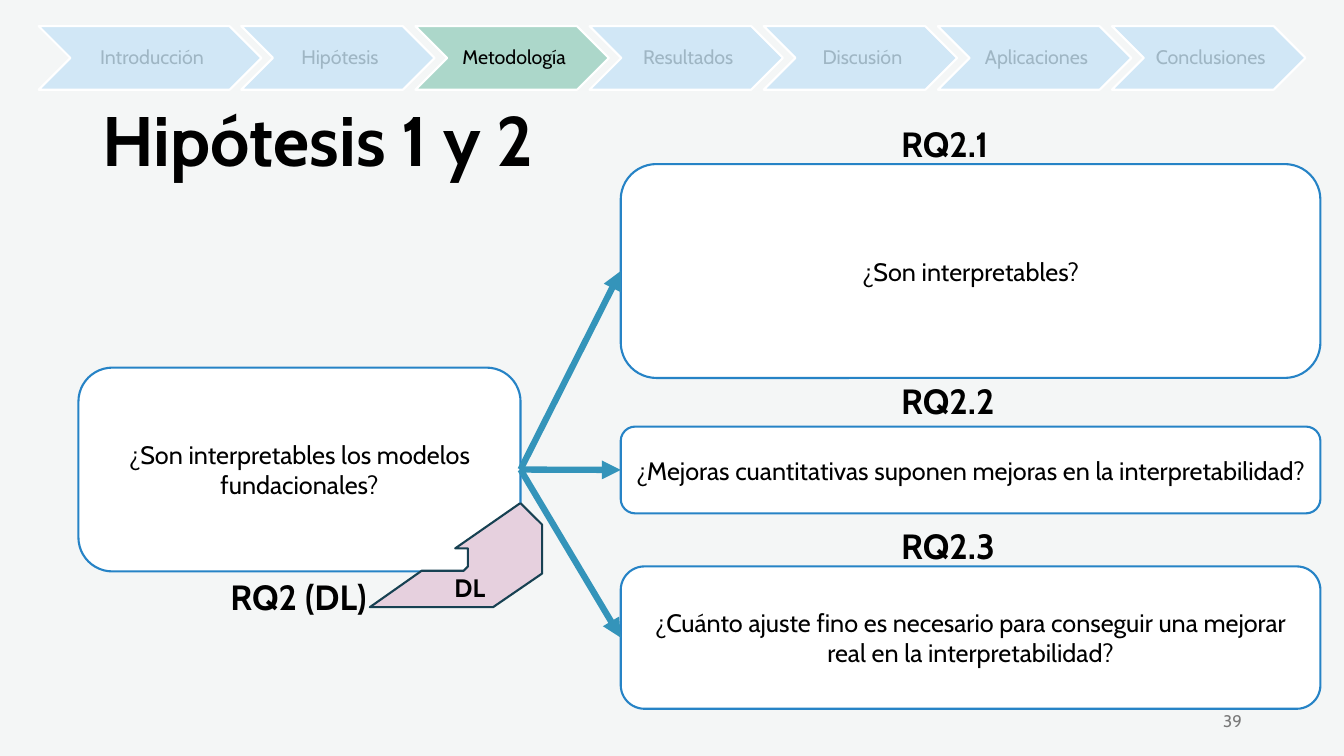
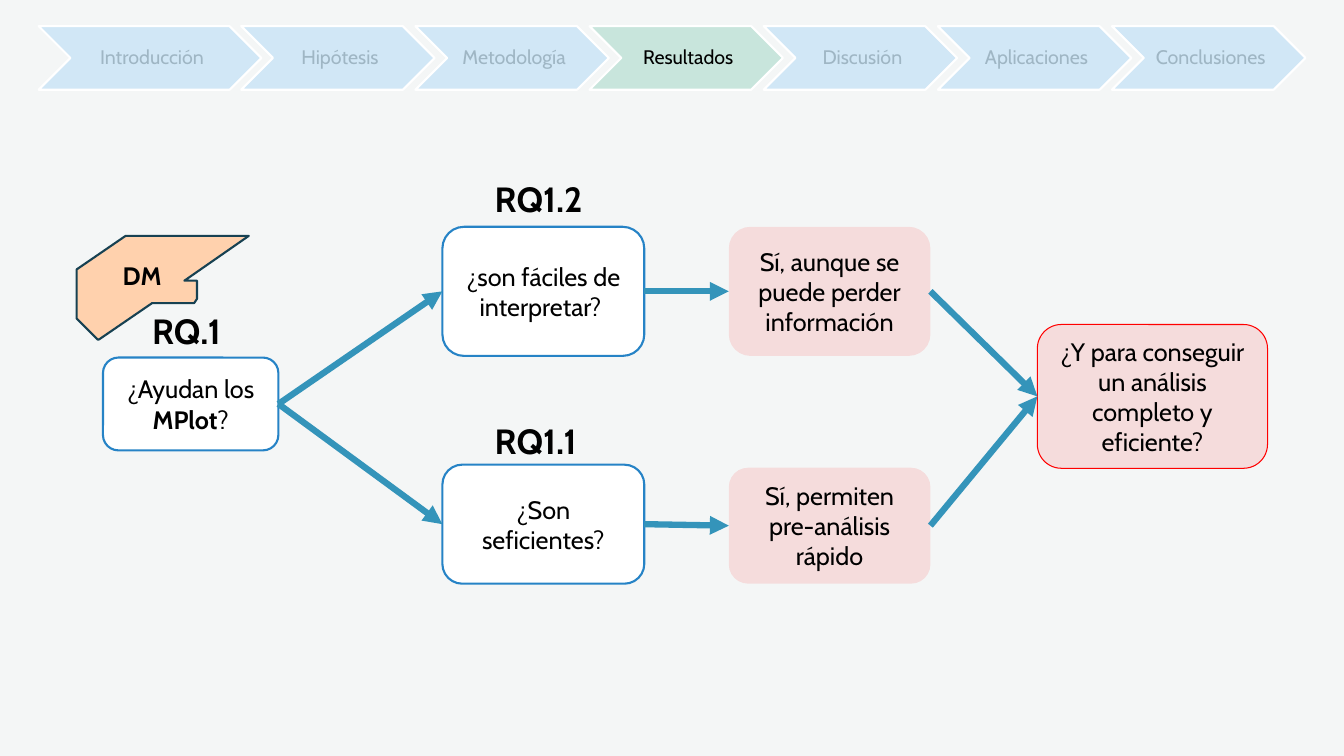
from dataclasses import dataclass
from typing import Optional

from lxml.etree import SubElement
from pptx import Presentation
from pptx.dml.color import RGBColor
from pptx.enum.shapes import MSO_CONNECTOR as Link, MSO_SHAPE as Kind
from pptx.enum.text import MSO_ANCHOR as Anchor, MSO_AUTO_SIZE as Auto, PP_ALIGN as Align
from pptx.oxml.ns import qn
from pptx.util import Pt

# Shared look
FONT = "Cabin"
BLACK = RGBColor(0x00, 0x00, 0x00)
WHITE = RGBColor(0xFF, 0xFF, 0xFF)
PAPER = RGBColor(0xF4, 0xF6, 0xF6)
GRAY = RGBColor(0x79, 0x79, 0x79)
MUTED = RGBColor(0x9F, 0xB6, 0xC4)
SKY = RGBColor(0xD1, 0xE7, 0xF6)
MINT = RGBColor(0xAC, 0xD7, 0xCA)
PALE_MINT = RGBColor(0xC8, 0xE5, 0xDC)
BLUE = RGBColor(0x26, 0x83, 0xC6)
TEAL = RGBColor(0x34, 0x94, 0xBA)
NAVY = RGBColor(0x17, 0x41, 0x52)
RED = RGBColor(0xFF, 0x00, 0x00)
PINK = RGBColor(0xE6, 0xD0, 0xDE)
PEACH = RGBColor(0xFF, 0xD1, 0xAD)

STEPS = ("Introducción", "Hipótesis", "Metodología", "Resultados",
         "Discusión", "Aplicaciones", "Conclusiones")
# Outlines of the puzzle pieces, from their top left corners
DL_EDGE = ((107, 0), (108, 0), (123, 15), (123, 50), (88, 74), (0, 74),
           (37, 48), (67, 48), (70, 45), (70, 32), (61, 32))
DM_EDGE = ((35, 0), (123, 0), (77, 32), (86, 32), (86, 45), (84, 48),
           (54, 48), (16, 74), (15, 74), (0, 59), (0, 24))
LEFT, RIGHT = 1, 3  # connection sites of a box


@dataclass(frozen=True)
class Style:
    fill: RGBColor
    line: Optional[RGBColor]
    width: float = 1.5
    alpha: int = 100


@dataclass(frozen=True)
class Box:
    x: float
    y: float
    w: float
    h: float
    text: str
    style: Style
    tag: str = ""
    tag_x: float = 0
    tag_y: float = 0


ASK = Style(WHITE, BLUE)
REPLY = Style(RED, None, alpha=10)
NEXT = Style(RED, RED, 0.75, 10)


def put(frame, text: str, size: float = 18, color=BLACK, bold: bool = False,
        align=Align.LEFT, anchor=Anchor.TOP, space: float = 1, pads=None) -> None:
    """Write one paragraph; parts between ** are bold."""
    frame.word_wrap = True
    frame.auto_size = Auto.NONE
    frame.vertical_anchor = anchor
    if pads:
        (frame.margin_left, frame.margin_top,
         frame.margin_right, frame.margin_bottom) = map(Pt, pads)
    para = frame.paragraphs[0]
    para.alignment = align
    para.line_spacing = space
    for i, part in enumerate(text.split("**")):
        run = para.add_run()
        run.text = part
        font = run.font
        font.name, font.size, font.bold = FONT, Pt(size), bold or i % 2 == 1
        font.color.rgb = color


def label(slide, x: float, y: float, w: float, h: float, text: str, **form) -> None:
    area = slide.shapes.add_textbox(Pt(x), Pt(y), Pt(w), Pt(h))
    put(area.text_frame, text, **form)


def paint(shape, style: Style) -> None:
    shape.shadow.inherit = False
    shape.fill.solid()
    shape.fill.fore_color.rgb = style.fill
    if style.alpha < 100:
        tint = shape.fill._xPr.find(qn("a:solidFill")).find(qn("a:srgbClr"))
        SubElement(tint, qn("a:alpha")).set("val", str(style.alpha * 1000))
    if style.line is None:
        shape.line.fill.background()
    else:
        shape.line.color.rgb = style.line
        shape.line.width = Pt(style.width)


def band(slide, now: str, color: RGBColor) -> None:
    """Draw the row of steps with the present one lit."""
    first, start, pitch, width = 27.6, 172.3, 124.4, 138.2
    top, high = 18.7, 45.4
    for i, name in enumerate(STEPS):
        x, w = (start + (i - 1) * pitch, width) if i else (first, 159.1)
        lit = name == now
        step = slide.shapes.add_shape(Kind.CHEVRON, Pt(x), Pt(top), Pt(w), Pt(high))
        paint(step, Style(color if lit else SKY, WHITE))
        label(slide, x + 22.7, top, w - 45.4, high, name, size=14,
              color=BLACK if lit else MUTED, align=Align.CENTER,
              anchor=Anchor.MIDDLE, space=0.9, pads=(4.3, 1.4, 1.4, 1.4))


def draw(slide, box: Box):
    shape = slide.shapes.add_shape(Kind.FLOWCHART_ALTERNATE_PROCESS,
                                   Pt(box.x), Pt(box.y), Pt(box.w), Pt(box.h))
    paint(shape, box.style)
    put(shape.text_frame, box.text, align=Align.CENTER, anchor=Anchor.MIDDLE)
    if box.tag:
        label(slide, box.tag_x, box.tag_y, 120, 37.4, box.tag, size=25, bold=True)
    return shape


def arrow(slide, start, end) -> None:
    line = slide.shapes.add_connector(Link.STRAIGHT, 0, 0, 0, 0)
    line.begin_connect(start, RIGHT)
    line.end_connect(end, LEFT)
    line.line.color.rgb = TEAL
    line.line.width = Pt(4.5)
    SubElement(line.line._get_or_add_ln(), qn("a:tailEnd")).set("type", "triangle")
    SubElement(line._element.spPr, qn("a:effectLst"))


def piece(slide, x: float, y: float, edge: tuple, color: RGBColor) -> None:
    spots = [(Pt(x + dx), Pt(y + dy)) for dx, dy in edge]
    path = slide.shapes.build_freeform(*spots[0], scale=1.0)
    path.add_line_segments(spots[1:], close=True)
    paint(path.convert_to_shape(), Style(color, NAVY))


def method(deck) -> None:
    slide = deck.slides.add_slide(deck.slide_layouts[5])
    title = slide.shapes.title
    title.left, title.top, title.width, title.height = map(Pt, (66.2, 28.8, 828, 104.4))
    put(title.text_frame, "Hipótesis 1 y 2", size=50, bold=True,
        anchor=Anchor.BOTTOM, space=0.9)
    label(slide, 678.2, 500.4, 216, 28.8, "39", size=12, color=GRAY,
          align=Align.RIGHT, anchor=Anchor.MIDDLE)

    # Main question and the three it splits into
    root = draw(slide, Box(56, 262.6, 315.8, 145.6,
                           "¿Son interpretables los modelos fundacionales?",
                           ASK, "RQ2 (DL)", 157.4, 407.5))
    parts = (
        (117.2, 152.8, 84, "¿Son interpretables?"),
        (304.7, 62, 267.8, "¿Mejoras cuantitativas suponen mejoras en la interpretabilidad?"),
        (404.6, 101.7, 370.8, "¿Cuánto ajuste fino es necesario para conseguir una mejorar "
                              "real en la interpretabilidad?"),
    )
    for i, (y, h, tag_y, text) in enumerate(parts, 1):
        part = draw(slide, Box(443.4, y, 499.8, h, text, ASK, f"RQ2.{i}", 636.5, tag_y))
        arrow(slide, root, part)

    band(slide, "Metodología", MINT)
    piece(slide, 264.2, 359.7, DL_EDGE, PINK)
    label(slide, 317.5, 405.4, 44, 29, "DL", bold=True)


def result(deck) -> None:
    slide = deck.slides.add_slide(deck.slide_layouts[6])
    band(slide, "Resultados", PALE_MINT)
    piece(slide, 54.7, 168.5, DM_EDGE, PEACH)
    label(slide, 80.6, 182.2, 44, 29, "DM", bold=True)

    # Question, its two halves, their replies and what comes next
    root = draw(slide, Box(73.6, 255.4, 125.3, 66.3, "¿Ayudan los **MPlot**?",
                           ASK, "RQ.1", 101.5, 217.4))
    goal = draw(slide, Box(741, 231.8, 164.4, 102.7,
                           "¿Y para conseguir un análisis completo y eficiente?", NEXT))
    rows = (
        (Box(316, 162, 144.2, 92.2, "¿son fáciles de interpretar? ",
             ASK, "RQ1.2", 346.3, 123.1),
         Box(520.6, 162, 144, 92.2, "Sí, aunque se puede perder información", REPLY)),
        (Box(316, 331.9, 144.2, 85, "¿Son seficientes?",
             ASK, "RQ1.1", 346.3, 296.2),
         Box(520.6, 334.1, 144, 82.8, "Sí, permiten pre-análisis rápido", REPLY)),
    )
    for row in rows:
        ask, reply = (draw(slide, box) for box in row)
        for start, end in ((root, ask), (ask, reply), (reply, goal)):
            arrow(slide, start, end)


def main() -> None:
    deck = Presentation()
    deck.slide_width, deck.slide_height = Pt(960), Pt(540)
    back = deck.slide_master.background.fill
    back.solid()
    back.fore_color.rgb = PAPER
    method(deck)
    result(deck)
    deck.save("out.pptx")


if __name__ == "__main__":
    main()
